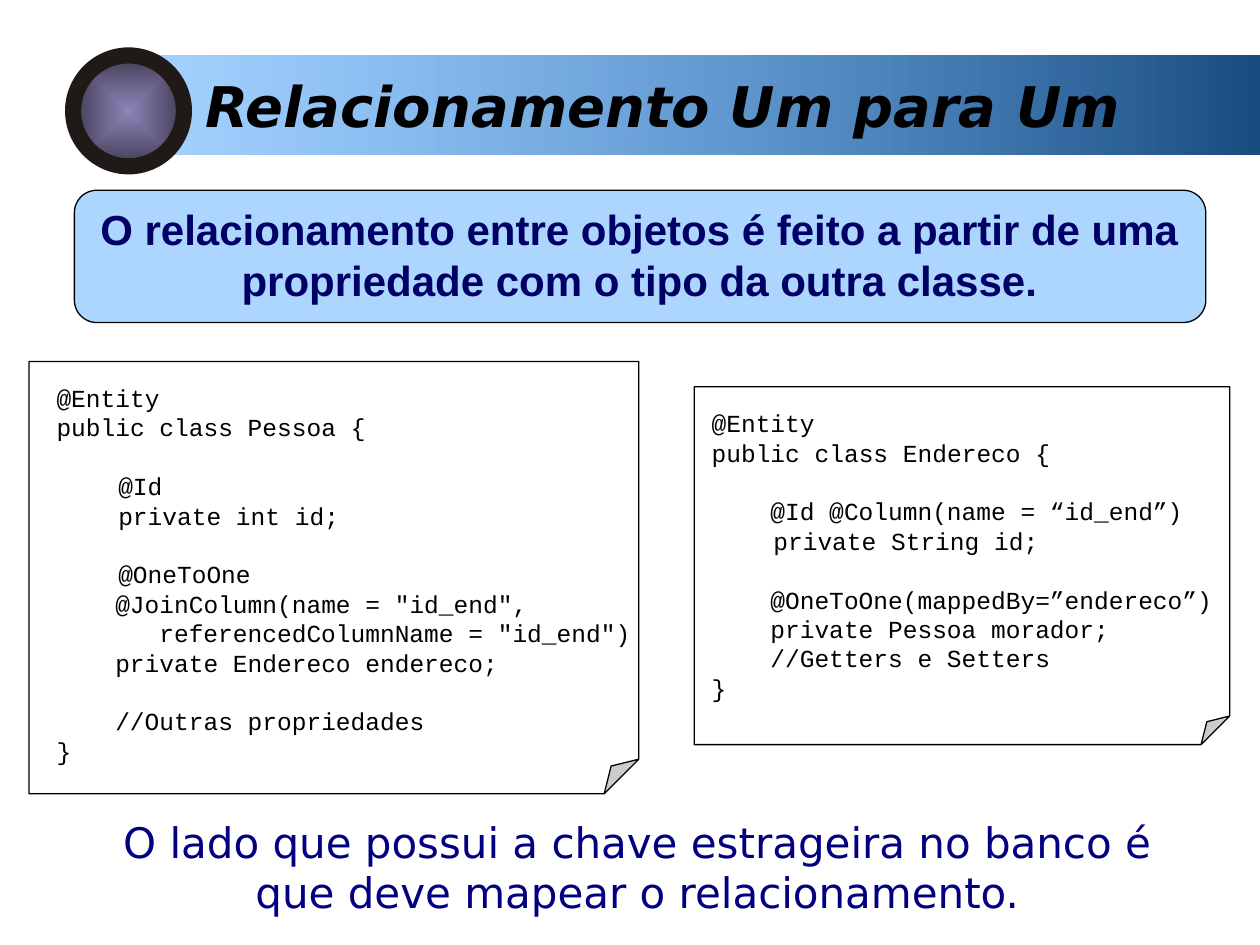
"""Builds the slide on one-to-one mapping between two entity classes."""
from lxml.etree import SubElement
from pptx import Presentation
from pptx.dml.color import RGBColor
from pptx.enum.shapes import MSO_SHAPE
from pptx.enum.text import PP_ALIGN
from pptx.oxml.ns import qn
from pptx.util import Inches, Pt

TITLE = "Relacionamento Um para Um"
RULE = ("O relacionamento entre objetos é feito a partir de uma "
        "propriedade com o tipo da outra classe.")
NOTE = ("O lado que possui a chave estrageira no banco é "
        "que deve mapear o relacionamento.")
TAB = 4.2
PERSON = [
    [(0, "@Entity"), (0, "public class Pessoa {")],
    [(TAB, "@Id"), (TAB, "private int id;")],
    [(TAB, "@OneToOne"), (4, '@JoinColumn(name = "id_end",'),
     (7, 'referencedColumnName = "id_end")'),
     (4, "private Endereco endereco;")],
    [(4, "//Outras propriedades"), (0, "}")],
]
PLACE = [
    [(0, "@Entity"), (0, "public class Endereco {")],
    [(4, "@Id @Column(name = “id_end”)"), (TAB, "private String id;")],
    [(4, "@OneToOne(mappedBy=”endereco”)"), (4, "private Pessoa morador;"),
     (4, "//Getters e Setters"), (0, "}")],
]
CARDS = [
    ((2.3, 28.7, 48.4, 34.3), (3.5, 29.9, 48.8, 31.4), PERSON),
    ((55.1, 30.7, 42.5, 28.4), (55.5, 31.9, 43.3, 24.4), PLACE),
]
COLS, ROWS = 100, 75
THEME = {
    "navy": "194D81", "sky": "3399FF", "ring": "1F1A17",
    "lilac": "8E84B7", "plum": "413C54", "black": "000000",
    "white": "FFFFFF", "rule": "000066", "note": "000080",
    "sans": "DejaVu Sans", "bold": "Arial", "mono": "Courier New",
    "title": 32, "body": 24, "code": 14, "lead": 1.2, "edge": 0.75,
}

deck = Presentation()
deck.slide_width, deck.slide_height = Inches(10), Inches(7.5)
slide = deck.slides.add_slide(deck.slide_layouts[6])


def tint(name):
    return RGBColor.from_string(THEME[name])


def place(box):
    wide, high = deck.slide_width / COLS, deck.slide_height / ROWS
    return [round(n * unit) for n, unit in zip(box, (wide, high) * 2)]


def fade(fill, share):
    node = list(fill.iter(qn("a:srgbClr")))[-1]
    SubElement(node, qn("a:alpha")).set("val", str(share * 1000))


def draw(kind, box, fill=None, line=None, width=THEME["edge"], bend=None):
    shape = slide.shapes.add_shape(kind, *place(box))
    shape.shadow.inherit = False
    if isinstance(fill, tuple):
        shape.fill.gradient()
        for stop, name, spot in zip(shape.fill.gradient_stops, fill, (0, 1)):
            stop.color.rgb, stop.position = tint(name), spot
    else:
        shape.fill.solid()
        shape.fill.fore_color.rgb = tint(fill)
    if line:
        shape.line.color.rgb, shape.line.width = tint(line), Pt(width)
    else:
        shape.line.fill.background()
    if bend:
        shelf = next(shape._element.iter(qn("a:avLst")))
        for old in list(shelf):
            shelf.remove(old)
        guide = SubElement(shelf, qn("a:gd"))
        guide.set("name", "adj")
        guide.set("fmla", f"val {round(bend * 100000)}")
    return shape


def write(text, box, font="sans", size="body", color="black",
          bold=False, slant=False, align=PP_ALIGN.LEFT):
    frame = slide.shapes.add_textbox(*place(box)).text_frame
    frame.word_wrap = True
    groups = [[(0, text)]] if isinstance(text, str) else text
    lead = Pt(THEME[size] * THEME["lead"])
    para = None
    for group in groups:
        for row, (step, words) in enumerate(group):
            gap = para is not None and row == 0
            para = frame.paragraphs[0] if para is None else frame.add_paragraph()
            para.alignment, para.line_spacing = align, lead
            para.space_before = lead if gap else Pt(0)
            inset = Pt(step * THEME[size] * 0.6)
            para._p.get_or_add_pPr().set("marL", str(inset))
            run = para.add_run()
            run.text = words
            face = run.font
            face.name, face.size = THEME[font], Pt(THEME[size])
            face.bold, face.italic = bold, slant
            face.color.rgb = tint(color)


bar = draw(MSO_SHAPE.RECTANGLE, (12.2, 4.4, 87.8, 7.9), ("navy", "sky"))
bar.fill.gradient_angle = 180
fade(bar._element.spPr, 44)
write(TITLE, (15.3, 5.2, 84.7, 6.4), size="title", bold=True, slant=True)

disc = draw(MSO_SHAPE.OVAL, (5.8, 4.4, 8.8, 8.8), ("lilac", "plum"),
            "ring", 9.2)
grad = disc._element.spPr.find(qn("a:gradFill"))
grad.remove(grad.find(qn("a:lin")))
focus = SubElement(grad, qn("a:path"))
focus.set("path", "rect")
core = SubElement(focus, qn("a:fillToRect"))
for side in "ltrb":
    core.set(side, "50000")

panel = draw(MSO_SHAPE.ROUNDED_RECTANGLE, (5.9, 15.1, 89.8, 10.5),
             "sky", "black", bend=0.17)
fade(panel._element.spPr.find(qn("a:solidFill")), 40)
write(RULE, (6.8, 15.7, 87.9, 9), font="bold", color="rule", bold=True,
      align=PP_ALIGN.CENTER)

for sheet, area, code in CARDS:
    draw(MSO_SHAPE.FOLDED_CORNER, sheet, "white", "black", bend=0.08)
    write(code, area, font="mono", size="code")

write(NOTE, (6.3, 64.3, 88.6, 9), color="note", align=PP_ALIGN.CENTER)
deck.save("out.pptx")
